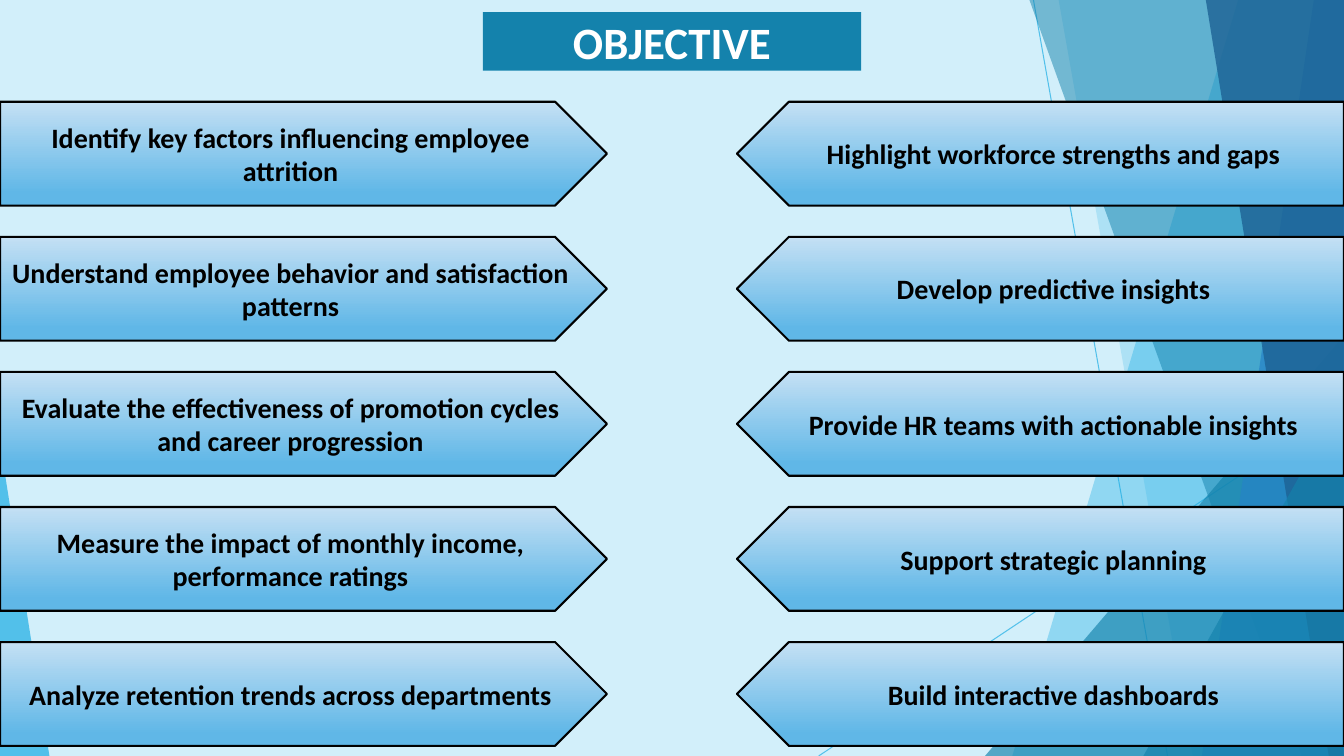
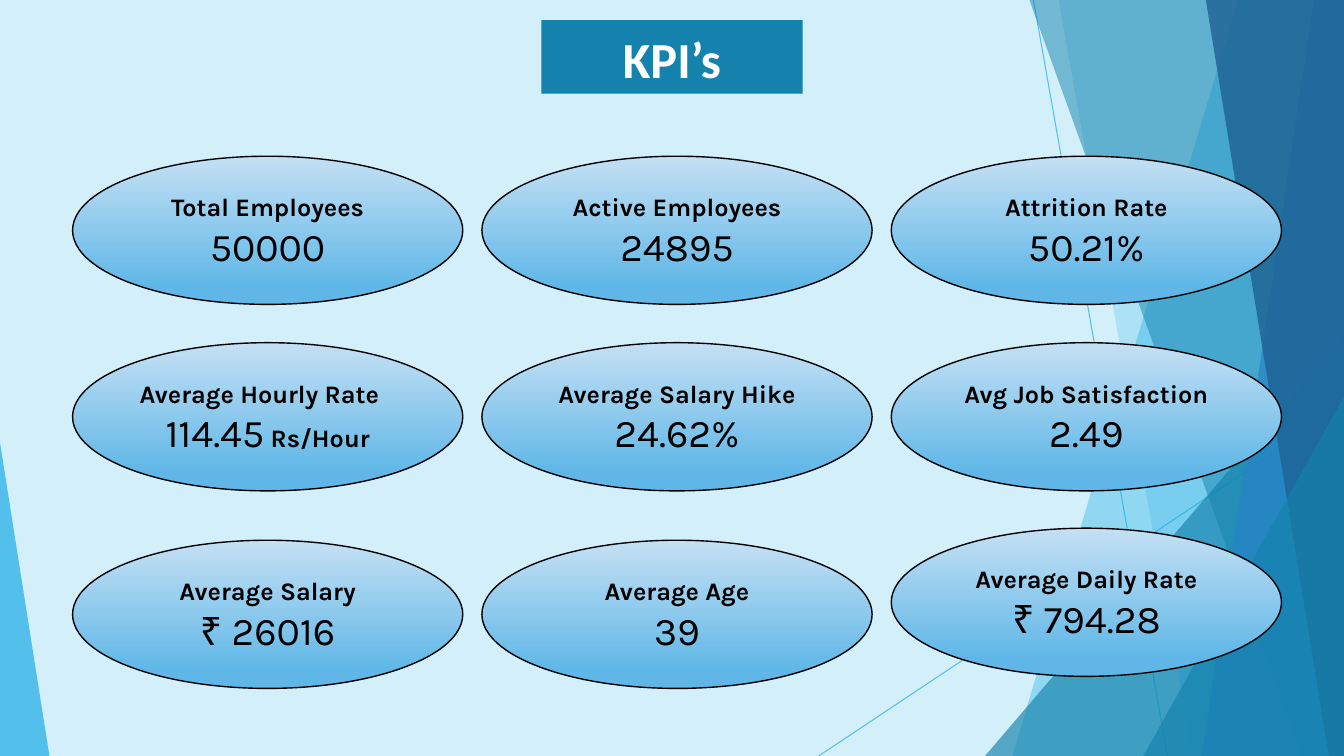
from dataclasses import dataclass

from lxml import etree
from pptx import Presentation
from pptx.dml.color import RGBColor
from pptx.enum.shapes import MSO_CONNECTOR, MSO_SHAPE
from pptx.enum.text import MSO_ANCHOR, MSO_AUTO_SIZE, PP_ALIGN
from pptx.oxml.ns import qn
from pptx.util import Inches, Pt

PENTAGON, OVAL, TRIANGLE = MSO_SHAPE.PENTAGON, MSO_SHAPE.OVAL, MSO_SHAPE.ISOSCELES_TRIANGLE
STRAIGHT = MSO_CONNECTOR.STRAIGHT
MIDDLE, BOTTOM = MSO_ANCHOR.MIDDLE, MSO_ANCHOR.BOTTOM
CENTER, LEFT = PP_ALIGN.CENTER, PP_ALIGN.LEFT
WIDTH, HEIGHT = 13.33, 7.5
TITLE_ONLY = 5

# Content
OBJECTIVES_LEFT = [
    "Identify key factors influencing employee attrition",
    "Understand employee behavior and satisfaction patterns",
    "Evaluate the effectiveness of promotion cycles and career progression",
    "Measure the impact of monthly income, performance ratings",
    "Analyze retention trends across departments",
]
OBJECTIVES_RIGHT = [
    "Highlight workforce strengths and gaps",
    "Develop predictive insights",
    "Provide HR teams with actionable insights",
    "Support strategic planning",
    "Build interactive dashboards",
]
# label, value, unit, label alignment
KPI_ROWS = [
    [("Total Employees", "50000", "", CENTER),
     ("Active Employees", "24895", "", CENTER),
     ("Attrition Rate", "50.21%", "", CENTER)],
    [("Average Hourly Rate", "114.45", " Rs/Hour", LEFT),
     ("Average Salary Hike", "24.62%", "", CENTER),
     ("Avg Job Satisfaction", "2.49", "", CENTER)],
    [("Average Salary", "₹ 26016", "", CENTER),
     ("Average Age", "39", "", CENTER),
     ("Average Daily Rate", "₹ 794.28", "", CENTER)],
]


@dataclass(frozen=True)
class Theme:
    background: str = "D2EFFA"
    sky: str = "1CADE4"
    teal: str = "1482AC"
    blue: str = "2683C6"
    navy: str = "1D6294"
    gradient: tuple = ((0, "C4E0F4"), (0.88, "60B7E7"))
    ink: str = "000000"
    white: str = "FFFFFF"
    heading_font: str = "Calibri"
    kpi_font: str = "Karla"
    objective_size: int = 20
    label_size: int = 18
    value_size: int = 28


THEME = Theme()

# Backdrop, back to front: kind, geometry, colour, opacity in percent
BACKDROP = [
    ("line", (10.25, 0, 11.58, 7.5), THEME.sky, 70),
    ("line", (13.33, 4.03, 8.12, 7.5), THEME.sky, 70),
    ("band", (12.28, 10.04), THEME.sky, 36),
    ("band", (10.5, 11.83), THEME.sky, 20),
    ("triangle", (9.77, 3.33, 3.56, 1), THEME.teal, 66),
    ("band", (10.21, 12.91), THEME.teal, 50),
    ("band", (13.03, 11.92), THEME.blue, 70),
    ("band", (11.96, 13.18), THEME.navy, 80),
    ("triangle", (11.34, 3.93, 1.99, 1), THEME.teal, 66),
    ("triangle", (0, 4.39, 0.49, 0), THEME.sky, 70),
]


def rgb(code):
    return RGBColor.from_string(code)


def apply(target, values):
    for name, value in values.items():
        setattr(target, name, value)


def fill_solid(target, color):
    target.fill.solid()
    target.fill.fore_color.rgb = rgb(color)


def add_span(para, text, font, size, color, bold):
    span = para.add_run()
    span.text = text
    apply(span.font, {"name": font, "size": Pt(size), "bold": bold})
    span.font.color.rgb = rgb(color)


# Shared backdrop
def draw_backdrop_part(shapes, kind, geometry, color):
    if kind == "line":
        part = shapes.add_connector(STRAIGHT, *map(Inches, geometry))
        part.line.color.rgb = rgb(color)
        part.line.width = Pt(0.75)
        etree.SubElement(part.element.spPr, qn("a:effectLst"))
        return part
    if kind == "band":
        top_x, bottom_x = geometry
        corners = [(WIDTH, 0), (WIDTH, HEIGHT), (bottom_x, HEIGHT)]
        outline = shapes.build_freeform(Inches(top_x), 0)
        outline.add_line_segments([(Inches(x), Inches(y)) for x, y in corners], close=True)
        part = outline.convert_to_shape()
    else:
        left, top, width, apex = geometry
        part = shapes.add_shape(TRIANGLE, *map(Inches, (left, top, width, HEIGHT - top)))
        part.adjustments[0] = apex
    part.shadow.inherit = False
    part.line.fill.background()
    fill_solid(part, color)
    return part


def build_backdrop(page, layout):
    """Draw the backdrop on a page, then move it behind the layout's parts."""
    layout.background.fill.solid()
    layout.background.fill.fore_color.rgb = rgb(THEME.background)
    tree = layout.element.cSld.spTree
    for index, (kind, geometry, color, opacity) in enumerate(BACKDROP):
        element = draw_backdrop_part(page.shapes, kind, geometry, color).element
        for tint in element.spPr.iter(qn("a:srgbClr")):
            etree.SubElement(tint, qn("a:alpha"), val=str(opacity * 1000))
        element.xpath(".//p:cNvPr")[0].set("id", str(100 + index))
        tree.insert(2 + index, element)


def set_title(page, text, box, size, anchor):
    title = page.shapes.title
    apply(title, dict(zip(("left", "top", "width", "height"), map(Inches, box))))
    fill_solid(title, THEME.teal)
    apply(title.text_frame, {"vertical_anchor": anchor, "word_wrap": True,
                             "auto_size": MSO_AUTO_SIZE.NONE})
    para = title.text_frame.paragraphs[0]
    para.alignment = CENTER
    add_span(para, text, THEME.heading_font, size, THEME.white, True)


def add_gradient_shape(page, kind, box, line_width):
    shape = page.shapes.add_shape(kind, *map(Inches, box))
    shape.shadow.inherit = False
    shape.fill.gradient()
    shape.fill.gradient_angle = 270
    for stop, (position, color) in zip(shape.fill.gradient_stops, THEME.gradient):
        stop.position = position
        stop.color.rgb = rgb(color)
    shape.line.color.rgb = rgb(THEME.ink)
    shape.line.width = Pt(line_width)
    apply(shape.text_frame, {"vertical_anchor": MIDDLE, "word_wrap": True})
    return shape


# Slide 1: two columns of arrows pointing inwards
def build_objectives(page):
    set_title(page, "OBJECTIVE", (4.79, 0.12, 3.75, 0.58), 32, MIDDLE)
    width, height, first_top, pitch = 6.02, 1.03, 1.01, 1.34
    columns = [(0, OBJECTIVES_LEFT, False), (WIDTH - width, OBJECTIVES_RIGHT, True)]
    for left, objectives, flipped in columns:
        for row, text in enumerate(objectives):
            box = (left, first_top + row * pitch, width, height)
            arrow = add_gradient_shape(page, PENTAGON, box, 1.5)
            if flipped:
                arrow.element.spPr.get_or_add_xfrm().set("flipH", "1")
            para = arrow.text_frame.paragraphs[0]
            para.alignment = CENTER
            add_span(para, text, THEME.heading_font, THEME.objective_size, THEME.ink, True)


# Slide 2: grid of ovals; the last one sits slightly higher than its row
def build_kpis(page):
    set_title(page, "KPI’s", (5.37, 0.2, 2.59, 0.73), 36, BOTTOM)
    width, height, first_left, pitch = 3.87, 1.47, 0.72, 4.06
    row_tops = [(1.55,) * 3, (3.4,) * 3, (5.36, 5.36, 5.24)]
    for tops, cards in zip(row_tops, KPI_ROWS):
        for column, (top, card) in enumerate(zip(tops, cards)):
            label, value, unit, label_alignment = card
            box = (first_left + column * pitch, top, width, height)
            frame = add_gradient_shape(page, OVAL, box, 1).text_frame
            label_para, value_para = frame.paragraphs[0], frame.add_paragraph()
            label_para.alignment, value_para.alignment = label_alignment, CENTER
            spans = [(label_para, label, THEME.label_size, True),
                     (value_para, value, THEME.value_size, False),
                     (value_para, unit, THEME.label_size, True)]
            for para, text, size, bold in spans:
                if text:
                    add_span(para, text, THEME.kpi_font, size, THEME.ink, bold)


def main():
    deck = Presentation()
    deck.slide_width, deck.slide_height = Inches(WIDTH), Inches(HEIGHT)
    layout = deck.slide_layouts[TITLE_ONLY]
    pages = [deck.slides.add_slide(layout) for _ in range(2)]
    build_backdrop(pages[0], layout)
    build_objectives(pages[0])
    build_kpis(pages[1])
    deck.save("out.pptx")


if __name__ == "__main__":
    main()
